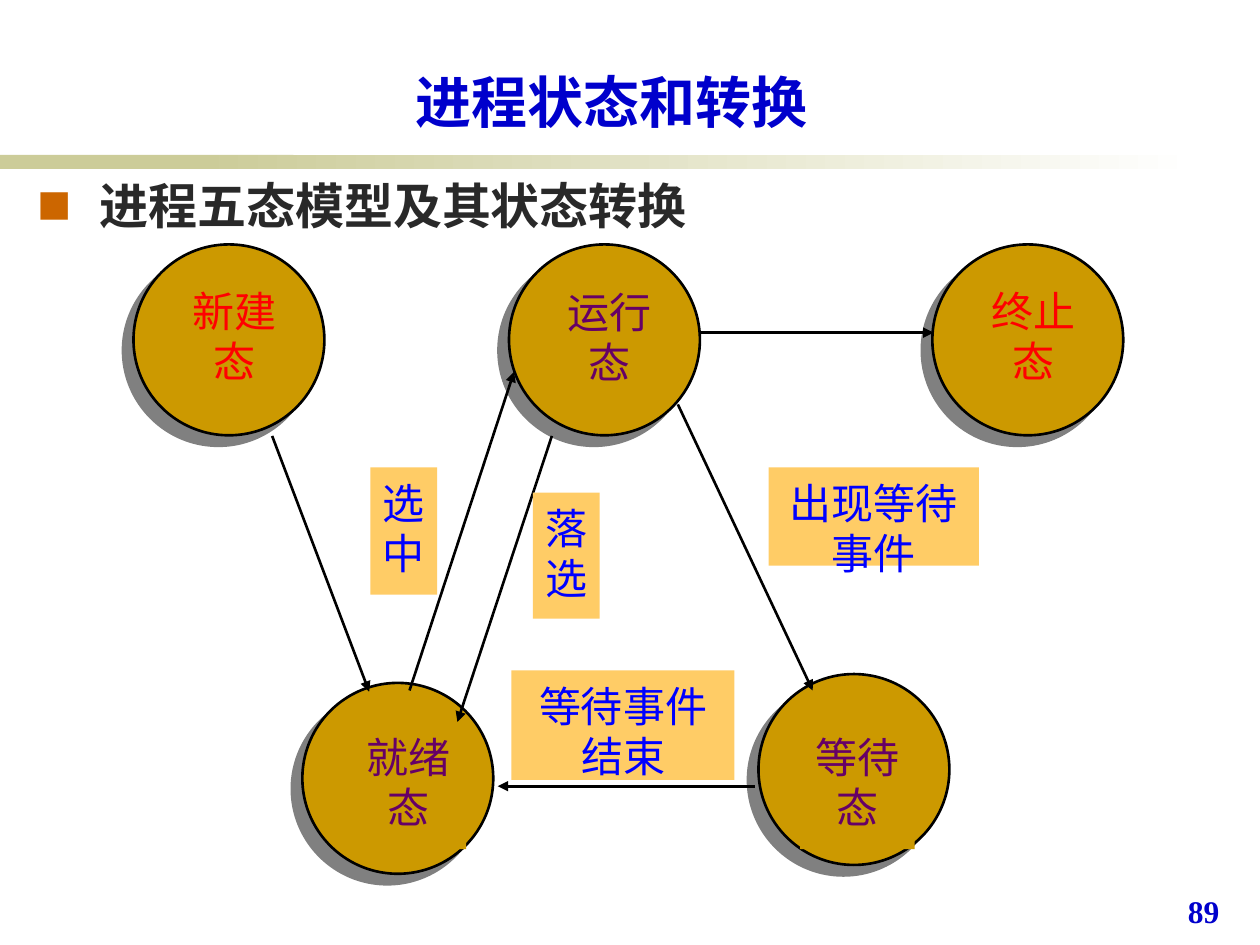
from dataclasses import dataclass

import pptx
import pptx.dml.color
import pptx.enum.shapes
import pptx.enum.text
import pptx.oxml
import pptx.oxml.ns
import pptx.util

SANS = "Noto Sans CJK JP"
SERIF = "Times New Roman"
GOLD, ORANGE, KHAKI = "CC9900", "FFCC66", "CCCC99"
PURPLE, RED, BLUE, NAVY = "660066", "FF0000", "0000FF", "0000CC"
COLUMNS, ROWS = 100, 75  # grid over the slide
DIAMETER = 15.15
STATE_LABEL_SIZE = (9.1, 10.1)
SHAPES = pptx.enum.shapes.MSO_SHAPE
CENTER = pptx.enum.text.PP_ALIGN.CENTER
LEFT = pptx.enum.text.PP_ALIGN.LEFT
ANCHOR = pptx.enum.text.MSO_ANCHOR


@dataclass(frozen=True)
class State:
    name: str
    circle: tuple[float, float]
    label: tuple[float, float]
    color: str = PURPLE


@dataclass(frozen=True)
class Arrow:
    start: tuple[float, float]
    end: tuple[float, float]


@dataclass(frozen=True)
class Caption:
    lines: tuple[str, ...]
    box: tuple[float, float, float, float]


STATES = (
    State("运行态", (40.4, 19.4), (43.8, 22)),
    State("就绪态", (24, 54.2), (27.9, 57.3)),
    State("等待态", (60.2, 53.5), (63.5, 57.3)),
    State("新建态", (10.6, 19.4), (14.1, 21.9), RED),
    State("终止态", (74, 19.4), (77.5, 21.9), RED),
)
ARROWS = (
    Arrow((32.5, 54.8), (40.8, 29.5)),
    Arrow((43.8, 34.6), (36.3, 57.3)),
    Arrow((53.8, 32.1), (64.5, 54.8)),
    Arrow((59.9, 62.4), (39.5, 62.4)),
    Arrow((21.6, 34.6), (29.3, 54.9)),
    Arrow((55.6, 26.4), (74.1, 26.4)),
)
CAPTIONS = (
    Caption(("选中",), (29.4, 37.1, 5.3, 10.1)),
    Caption(("落选",), (42.3, 39.1, 5.3, 10)),
    Caption(("出现等待", "事件"), (61, 37.1, 16.7, 7.8)),
    Caption(("等待事件", "结束"), (40.6, 53.2, 17.7, 8.7)),
)

presentation = pptx.Presentation()
presentation.slide_width = pptx.util.Inches(10)
presentation.slide_height = pptx.util.Inches(7.5)


def column(count: float) -> int:
    return round(presentation.slide_width * count / COLUMNS)


def row(count: float) -> int:
    return round(presentation.slide_height * count / ROWS)


def grid_box(box) -> tuple[int, int, int, int]:
    left, top, width, height = box
    return column(left), row(top), column(width), row(height)


def color(value: str) -> pptx.dml.color.RGBColor:
    return pptx.dml.color.RGBColor.from_string(value)


def append_xml(parent, markup: str) -> None:
    """Append the elements of the markup, written with the prefix a, to the parent."""
    wrapper = pptx.oxml.parse_xml(f"<wrapper {pptx.oxml.ns.nsdecls('a')}>{markup}</wrapper>")
    for element in list(wrapper):
        parent.append(element)


def write_text(shape, *lines: str, size: float, ink: str, font: str = SANS,
               bold: bool = False, align=CENTER, anchor=ANCHOR.TOP,
               insets=(0.1, 0.05, 0.1, 0.05), spacing=None) -> None:
    """Fill a shape with one paragraph a line; insets run left, top, right, bottom in inches."""
    frame = shape.text_frame
    frame.word_wrap = True
    frame.auto_size = pptx.enum.text.MSO_AUTO_SIZE.NONE
    frame.vertical_anchor = anchor
    (frame.margin_left, frame.margin_top,
     frame.margin_right, frame.margin_bottom) = map(pptx.util.Inches, insets)
    for index, line in enumerate(lines):
        paragraph = frame.paragraphs[0] if index == 0 else frame.add_paragraph()
        paragraph.alignment = align
        paragraph.space_before = pptx.util.Pt(0)
        if spacing:
            paragraph.line_spacing = pptx.util.Pt(spacing)
        run = paragraph.add_run()
        run.text = line
        run.font.name = font
        run.font.size = pptx.util.Pt(size)
        run.font.bold = bold
        run.font.color.rgb = color(ink)
        append_xml(run._r.get_or_add_rPr(), f'<a:ea typeface="{font}"/>')


def add_block(slide, kind, box, fill: str):
    shape = slide.shapes.add_shape(kind, *grid_box(box))
    shape.shadow.inherit = False
    shape.fill.solid()
    shape.fill.fore_color.rgb = color(fill)
    shape.line.fill.background()
    return shape


def add_circle(slide, state: State) -> None:
    circle = add_block(slide, SHAPES.OVAL, (*state.circle, DIAMETER, DIAMETER), GOLD)
    circle.line.color.rgb = color("000000")
    circle.line.width = pptx.util.Pt(1.5)
    effects = circle._element.spPr.find(pptx.oxml.ns.qn("a:effectLst"))
    append_xml(effects, f'<a:outerShdw blurRad="0" dist="{int(pptx.util.Pt(8.5))}" dir="8100000" '
               'algn="ctr" rotWithShape="0"><a:srgbClr val="808080"/></a:outerShdw>')


def add_arrow(slide, arrow: Arrow) -> None:
    (x1, y1), (x2, y2) = arrow.start, arrow.end
    connector = slide.shapes.add_connector(
        pptx.enum.shapes.MSO_CONNECTOR.STRAIGHT, column(x1), row(y1), column(x2), row(y2))
    connector.line.color.rgb = color("000000")
    connector.line.width = pptx.util.Pt(1.5)
    properties = connector._element.spPr
    append_xml(properties.get_or_add_ln(), '<a:tailEnd type="triangle"/>')
    append_xml(properties, "<a:effectLst/>")


def add_label(slide, lines, box, fill: str, ink: str) -> None:
    label = add_block(slide, SHAPES.RECTANGLE, box, fill)
    write_text(label, *lines, size=24, ink=ink, insets=(0, 0.08, 0, 0), spacing=28.6)


def add_divider(slide) -> None:
    add_block(slide, SHAPES.RECTANGLE, (0, 12.3, 23.3, 1.1), KHAKI)
    fade = add_block(slide, SHAPES.RECTANGLE, (15.8, 12.3, 79.2, 1.1), KHAKI)
    fade.fill.gradient()
    fade.fill.gradient_angle = 0
    for stop, position, value in zip(fade.fill.gradient_stops, (0, 1), (KHAKI, "FFFFFF")):
        stop.position = position
        stop.color.rgb = color(value)


def place(shape, box) -> None:
    shape.left, shape.top, shape.width, shape.height = grid_box(box)


def add_bullet(paragraph) -> None:
    properties = paragraph._p.get_or_add_pPr()
    indent = int(pptx.util.Inches(0.49))
    properties.set("marL", str(indent))
    properties.set("indent", str(-indent))
    append_xml(properties, '<a:buClr><a:srgbClr val="CC6600"/></a:buClr><a:buSzPct val="70000"/>'
               f'<a:buFont typeface="{SANS}"/><a:buChar char="■"/>')


def main() -> None:
    slide = presentation.slides.add_slide(presentation.slide_layouts[1])
    title, body = slide.placeholders
    add_divider(slide)

    place(title, (8.3, 4.4, 80.5, 6.3))
    write_text(title, "进程状态和转换", size=32, ink=NAVY, bold=True,
               anchor=ANCHOR.BOTTOM, insets=(0.1, 0.05, 0.1, 0))

    place(body, (2, 13.9, 96.9, 54.3))
    add_bullet(body.text_frame.paragraphs[0])
    write_text(body, "进程五态模型及其状态转换", size=28, ink="292929", bold=True,
               align=LEFT, insets=(0.1, 0, 0.1, 0.05))

    for state in STATES:
        add_circle(slide, state)
    for arrow in ARROWS:
        add_arrow(slide, arrow)
    for state in STATES:
        add_label(slide, (state.name,), (*state.label, *STATE_LABEL_SIZE), GOLD, state.color)
    for caption in CAPTIONS:
        add_label(slide, caption.lines, caption.box, ORANGE, BLUE)

    number = slide.shapes.add_textbox(*grid_box((93.3, 70.3, 6.4, 5)))
    write_text(number, "89", size=18, ink=NAVY, font=SERIF, bold=True, align=LEFT)
    presentation.save("out.pptx")


if __name__ == "__main__":
    main()
